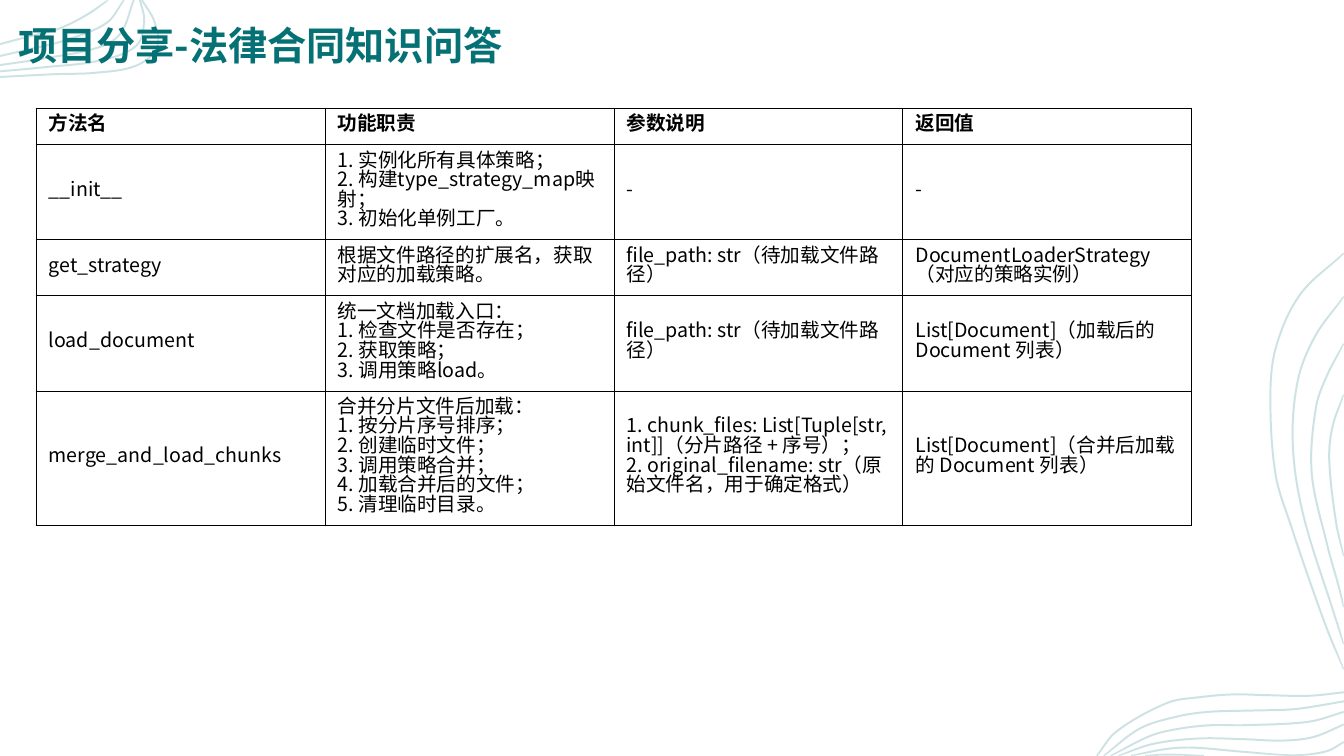
import dataclasses
import math

import lxml.etree
import pptx
import pptx.dml.color
import pptx.enum.text
import pptx.oxml
import pptx.oxml.ns
import pptx.util

Pt = pptx.util.Pt
qn = pptx.oxml.ns.qn


@dataclasses.dataclass(frozen=True)
class Theme:
    """Colours, font and type sizes of the slide."""

    accent: str = "057174"
    ink: str = "000000"
    font: str = "Noto Sans CJK SC"
    title_size: float = 28
    body_size: float = 14
    border_width: float = 0.75
    wave_width: float = 1.4
    wave_alpha: int = 20000


THEME = Theme()
SLIDE_SIZE = (960, 540)
TITLE = "项目分享-法律合同知识问答"

METHOD_ROWS = [
    (1, ["方法名", "功能职责", "参数说明", "返回值"]),
    (4, [
        "__init__",
        "1. 实例化所有具体策略；\n2. 构建type_strategy_map映射；\n3. 初始化单例工厂。",
        "-",
        "-",
    ]),
    (2, [
        "get_strategy",
        "根据文件路径的扩展名，获取对应的加载策略。",
        "file_path: str（待加载文件路径）",
        "DocumentLoaderStrategy（对应的策略实例）",
    ]),
    (4, [
        "load_document",
        "统一文档加载入口：\n1. 检查文件是否存在；\n2. 获取策略；\n3. 调用策略load。",
        "file_path: str（待加载文件路径）",
        "List[Document]（加载后的 Document 列表）",
    ]),
    (6, [
        "merge_and_load_chunks",
        "合并分片文件后加载：\n1. 按分片序号排序；\n2. 创建临时文件；\n"
        "3. 调用策略合并；\n4. 加载合并后的文件；\n5. 清理临时目录。",
        "1. chunk_files: List[Tuple[str, int]]（分片路径 + 序号）；\n"
        "2. original_filename: str（原始文件名，用于确定格式）",
        "List[Document]（合并后加载的 Document 列表）",
    ]),
]

TOP_LEFT_WAVES = [
    [(0, 31.5), (17, 27), (42, 20.5), (63, 10), (77, 0)],
    [(101.5, 0), (110.5, 16), (112, 34), (97, 47), (68, 52), (39, 53), (0, 55)],
    [(100, 0), (103, 15), (97, 33), (70, 43.5), (32, 48), (0, 51)],
    [(95.5, 0), (86, 24), (70, 34), (30, 42), (0, 46.5)],
    [(88.5, 0), (76, 16.5), (46, 29), (19.5, 35.5), (0, 40)],
]
RIGHT_WAVES = [
    [(178, 102), (170, 124), (167.5, 148), (172.5, 194), (178, 217)],
    [(178, 65.5), (166, 88), (158, 111), (155, 158), (166, 209), (174, 238), (178, 253.5)],
    [(178, 32), (157.5, 60), (145, 92), (141.5, 138), (149, 188), (170.5, 257), (178, 280)],
    [(178, 1), (147, 30), (130, 66), (125.5, 100), (129, 158), (140, 195), (165, 267),
     (178, 298)],
    [(178, 314.5), (153, 317), (121, 316.5), (99, 316), (75, 318), (52, 322), (15.5, 342.5),
     (1.5, 360)],
    [(178, 321), (143, 326.5), (114, 327.5), (81, 328.5), (58, 332), (32, 340.5), (6.5, 360)],
    [(178, 328.5), (153, 335.5), (107, 338), (83, 338), (60.5, 340.5), (40, 345.5),
     (11.5, 360)],
    [(178, 337.5), (156, 346.5), (134, 349), (106, 348), (74, 347.5), (41, 351.5), (17, 360)],
    [(178, 350), (166, 356.5), (143, 359.5), (106, 357), (70, 354), (51, 355), (26, 360)],
    [(78, 360), (52, 359), (36, 360)],
]


def ribbon_outline(points):
    """Return the corner and Bezier points of a thin band along the points."""
    tangents = []
    for before, after in zip([points[0], *points], [*points[1:], points[-1]]):
        length = math.dist(before, after)
        tangents.append(((after[0] - before[0]) / length, (after[1] - before[1]) / length))

    def side(offset):
        edge = [(x - v * offset, y + u * offset) for (x, y), (u, v) in zip(points, tangents)]
        curve = [edge[0]]
        for start, end, (u, v), (p, q) in zip(edge, edge[1:], tangents, tangents[1:]):
            reach = math.dist(start, end) / 3
            curve += [(start[0] + u * reach, start[1] + v * reach),
                      (end[0] - p * reach, end[1] - q * reach), end]
        return curve

    outward = side(THEME.wave_width / 2)
    back = side(-THEME.wave_width / 2)[::-1]
    return [*outward, outward[-1], back[0], *back]


def draw_waves(slide, left, top, waves):
    """Draw a group of translucent wave bands from the given corner."""
    builder = None
    for wave in waves:
        outline = [
            tuple(Pt(min(max(origin + value, 0), limit))
                  for origin, value, limit in zip((left, top), point, SLIDE_SIZE))
            for point in ribbon_outline(wave)
        ]
        if builder is None:
            builder = slide.shapes.build_freeform(*outline[0])
        else:
            builder.move_to(*outline[0])
        builder.add_line_segments(outline[1:], close=True)
    shape = builder.convert_to_shape()
    lines = list(shape.element.iter(qn("a:lnTo")))
    for triple in zip(lines[::3], lines[1::3], lines[2::3]):
        curve = lxml.etree.Element(qn("a:cubicBezTo"))
        triple[0].addprevious(curve)
        for line in triple:
            curve.append(line[0])
            line.getparent().remove(line)
    shape.shadow.inherit = False
    shape.line.fill.background()
    shape.fill.solid()
    shape.fill.fore_color.rgb = pptx.dml.color.RGBColor.from_string(THEME.accent)
    color = next(shape.element.spPr.iter(qn("a:srgbClr")))
    lxml.etree.SubElement(color, qn("a:alpha"), val=str(THEME.wave_alpha))


def format_runs(paragraph, size, color, bold):
    """Apply the theme font, size, colour and weight to a paragraph's runs."""
    for run in paragraph.runs:
        run.font.name = THEME.font
        run.font.size = Pt(size)
        run.font.bold = bold
        run.font.color.rgb = pptx.dml.color.RGBColor.from_string(color)
        latin = run.font._element.find(qn("a:latin"))
        latin.addnext(pptx.oxml.parse_xml(
            f'<a:ea {pptx.oxml.ns.nsdecls("a")} typeface="{THEME.font}"/>'))


def place_title(slide, left, top, width, height):
    """Put the title placeholder in its box, in front of the waves."""
    title = slide.shapes.title
    title.left, title.top, title.width, title.height = map(Pt, (left, top, width, height))
    title.element.getparent().append(title.element)
    frame = title.text_frame
    frame.text = TITLE
    frame.word_wrap = True
    frame.auto_size = pptx.enum.text.MSO_AUTO_SIZE.NONE
    frame.vertical_anchor = pptx.enum.text.MSO_ANCHOR.BOTTOM
    frame.margin_left = frame.margin_top = frame.margin_right = frame.margin_bottom = 0
    paragraph = frame.paragraphs[0]
    paragraph.alignment = pptx.enum.text.PP_ALIGN.LEFT
    format_runs(paragraph, THEME.title_size, THEME.accent, True)


def fill_cell(cell, text, bold):
    """Write one table cell, with a thin border on all four sides."""
    cell.fill.background()
    for position, side in enumerate(("lnL", "lnR", "lnT", "lnB")):
        cell._tc.get_or_add_tcPr().insert(position, pptx.oxml.parse_xml(
            f'<a:{side} {pptx.oxml.ns.nsdecls("a")} w="{Pt(THEME.border_width)}">'
            f'<a:solidFill><a:srgbClr val="{THEME.ink}"/></a:solidFill></a:{side}>'))
    cell.vertical_anchor = pptx.enum.text.MSO_ANCHOR.MIDDLE
    cell.margin_left = cell.margin_right = Pt(9)
    cell.margin_top = cell.margin_bottom = Pt(5.75)
    paragraph = cell.text_frame.paragraphs[0]
    paragraph.text = text
    paragraph.line_spacing = Pt(THEME.body_size)
    format_runs(paragraph, THEME.body_size, THEME.ink, bold)


def add_method_table(slide, left, top, width):
    """Add the method table, each row as high as its lines need."""
    heights = [lines * THEME.body_size + 12 for lines, _ in METHOD_ROWS]
    columns = len(METHOD_ROWS[0][1])
    table = slide.shapes.add_table(
        len(METHOD_ROWS), columns, Pt(left), Pt(top), Pt(width), Pt(sum(heights))).table
    table.horz_banding = False
    for column in table.columns:
        column.width = Pt(width / columns)
    for row, (_, texts), height in zip(table.rows, METHOD_ROWS, heights):
        row.height = Pt(height)
        for cell, text in zip(row.cells, texts):
            fill_cell(cell, text, texts is METHOD_ROWS[0][1])


def main():
    """Build the slide and save it."""
    presentation = pptx.Presentation()
    presentation.slide_width, presentation.slide_height = map(Pt, SLIDE_SIZE)
    slide = presentation.slides.add_slide(presentation.slide_layouts[5])
    draw_waves(slide, 0, 0, TOP_LEFT_WAVES)
    draw_waves(slide, 782, 180, RIGHT_WAVES)
    place_title(slide, 13, -8, 850, 57)
    add_method_table(slide, 25.8, 77.4, 825.6)
    presentation.save("out.pptx")


if __name__ == "__main__":
    main()
